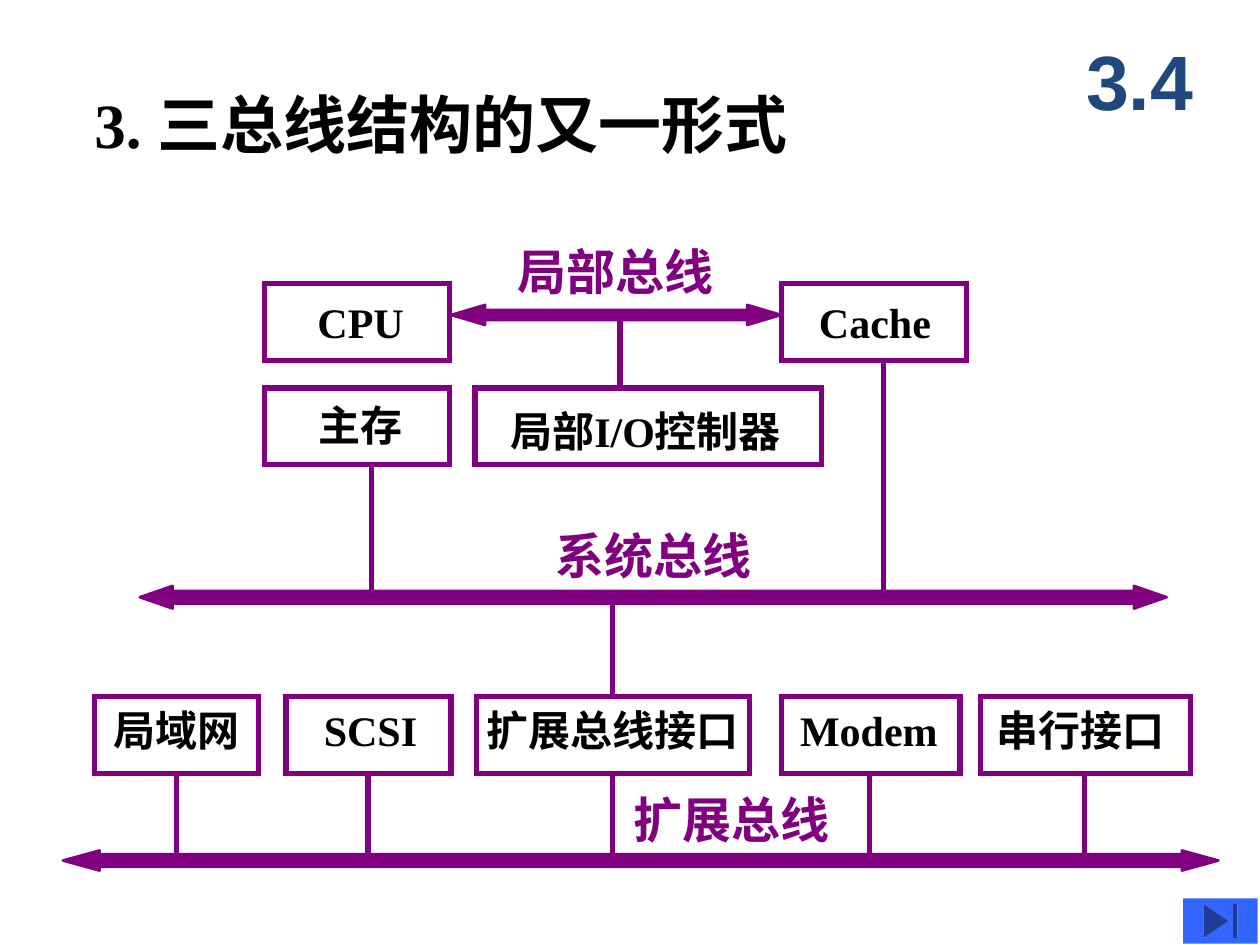
import pptx
import pptx.util
import pptx.dml.color
import pptx.enum.shapes
import pptx.enum.text
import pptx.oxml.ns
import lxml.etree

Inches = pptx.util.Inches
Pt = pptx.util.Pt
SHAPES = pptx.enum.shapes.MSO_SHAPE
PURPLE = pptx.dml.color.RGBColor(0x80, 0x00, 0x80)
BLACK = pptx.dml.color.RGBColor(0x00, 0x00, 0x00)
NAVY = pptx.dml.color.RGBColor(0x1F, 0x49, 0x7D)
BLUE = pptx.dml.color.RGBColor(0x33, 0x66, 0xFF)
CHINESE = "Noto Sans CJK SC"
ROMAN = "Times New Roman"

presentation = pptx.Presentation()
presentation.slide_width = Inches(10)
presentation.slide_height = Inches(7.5)
slide = presentation.slides.add_slide(presentation.slide_layouts[6])


def add_text(text, left, top, width, height, size, font, color, inset=0.0):
    box = slide.shapes.add_textbox(Inches(left), Inches(top), Inches(width), Inches(height))
    frame = box.text_frame
    frame.word_wrap = True
    frame.margin_left = frame.margin_right = Inches(inset)
    frame.margin_top = frame.margin_bottom = Inches(inset / 2)
    paragraph = frame.paragraphs[0]
    run = paragraph.add_run()
    run.text = text
    run.font.size = Pt(size)
    run.font.bold = True
    run.font.name = font
    run.font.color.rgb = color
    east_asian = lxml.etree.SubElement(run.font._element, pptx.oxml.ns.qn("a:ea"))
    east_asian.set("typeface", CHINESE)
    return box


add_text("3. 三总线结构的又一形式", 0.65, 0.63, 5.7, 0.7, 36, ROMAN, BLACK, 0.1)
section = add_text("3.4", 8.42, 0.17, 1.25, 0.92, 44, "Arial", NAVY, 0.1)
section.text_frame.vertical_anchor = pptx.enum.text.MSO_ANCHOR.MIDDLE
section.text_frame.paragraphs[0].alignment = pptx.enum.text.PP_ALIGN.CENTER

LOCAL_BUS, SYSTEM_BUS, EXPANSION_BUS = 2.5, 4.74, 6.83
TOP_ROW, MIDDLE_ROW, BOTTOM_ROW = 2.25, 3.08, 5.53
BOX_HEIGHT = 0.61
BOTTOM_EDGE = BOTTOM_ROW + BOX_HEIGHT

links = [
    (4.92, LOCAL_BUS, MIDDLE_ROW),
    (2.95, MIDDLE_ROW + BOX_HEIGHT, SYSTEM_BUS),
    (7.01, TOP_ROW + BOX_HEIGHT, SYSTEM_BUS),
    (4.86, SYSTEM_BUS, BOTTOM_ROW),
]
links += [(x, BOTTOM_EDGE, EXPANSION_BUS) for x in (1.4, 2.92, 4.86, 6.9, 8.61)]
for x, start, end in links:
    link = slide.shapes.add_connector(
        pptx.enum.shapes.MSO_CONNECTOR.STRAIGHT, Inches(x), Inches(start), Inches(x), Inches(end))
    link.line.color.rgb = PURPLE
    link.line.width = Pt(3)
    lxml.etree.SubElement(link._element.spPr, pptx.oxml.ns.qn("a:effectLst"))

buses = [
    ("局部总线", 4.11, 1.92, 3.58, 6.2, LOCAL_BUS, 0.27, 0.08, 0.04),
    ("系统总线", 4.41, 4.17, 1.11, 9.26, SYSTEM_BUS, 0.26, 0.09, 0.05),
    ("扩展总线", 5.03, 6.27, 0.5, 9.67, EXPANSION_BUS, 0.29, 0.08, 0.05),
]
for label, label_left, label_top, left, right, y, head, wing, half in buses:
    inner_left, inner_right = left + head, right - head
    outline = [
        (left, y), (inner_left, y + wing), (inner_left, y + half),
        (inner_right, y + half), (inner_right, y + wing), (right, y),
        (inner_right, y - wing), (inner_right, y - half),
        (inner_left, y - half), (inner_left, y - wing),
    ]
    points = [(Inches(x), Inches(height)) for x, height in outline]
    builder = slide.shapes.build_freeform(*points[0])
    builder.add_line_segments(points[1:], close=True)
    bus = builder.convert_to_shape()
    bus.shadow.inherit = False
    bus.fill.solid()
    bus.fill.fore_color.rgb = PURPLE
    bus.line.color.rgb = PURPLE
    bus.line.width = Pt(1.5)
    add_text(label, label_left, label_top, 1.65, 0.47, 28, CHINESE, PURPLE)

units = [
    ("CPU", 2.1, TOP_ROW, 1.47, 0.42, 0.1, ROMAN),
    ("Cache", 6.2, TOP_ROW, 1.47, 0.3, 0.1, ROMAN),
    ("主存", 2.1, MIDDLE_ROW, 1.47, 0.43, 0.09, CHINESE),
    ("局部I/O控制器", 3.77, MIDDLE_ROW, 2.75, 0.28, 0.14, ROMAN),
    ("局域网", 0.75, BOTTOM_ROW, 1.3, 0.15, 0.06, CHINESE),
    ("SCSI", 2.27, BOTTOM_ROW, 1.31, 0.3, 0.06, ROMAN),
    ("扩展总线接口", 3.78, BOTTOM_ROW, 2.17, 0.08, 0.06, CHINESE),
    ("Modem", 6.2, BOTTOM_ROW, 1.42, 0.15, 0.06, ROMAN),
    ("串行接口", 7.78, BOTTOM_ROW, 1.67, 0.13, 0.06, CHINESE),
]
for name, left, top, width, indent, drop, font in units:
    unit = slide.shapes.add_shape(
        SHAPES.RECTANGLE, Inches(left), Inches(top), Inches(width), Inches(BOX_HEIGHT))
    unit.shadow.inherit = False
    unit.fill.background()
    unit.line.color.rgb = PURPLE
    unit.line.width = Pt(3)
    corner = lxml.etree.SubElement(unit.line._get_or_add_ln(), pptx.oxml.ns.qn("a:miter"))
    corner.set("lim", "800000")
    add_text(name, left + indent, top + drop, width, 0.4, 24, font, BLACK)

button = slide.shapes.add_shape(
    SHAPES.ACTION_BUTTON_END, Inches(9.39), Inches(7.13), Inches(0.59), Inches(0.36))
button.shadow.inherit = False
button.fill.solid()
button.fill.fore_color.rgb = BLUE
button.line.fill.background()

presentation.save("out.pptx")
